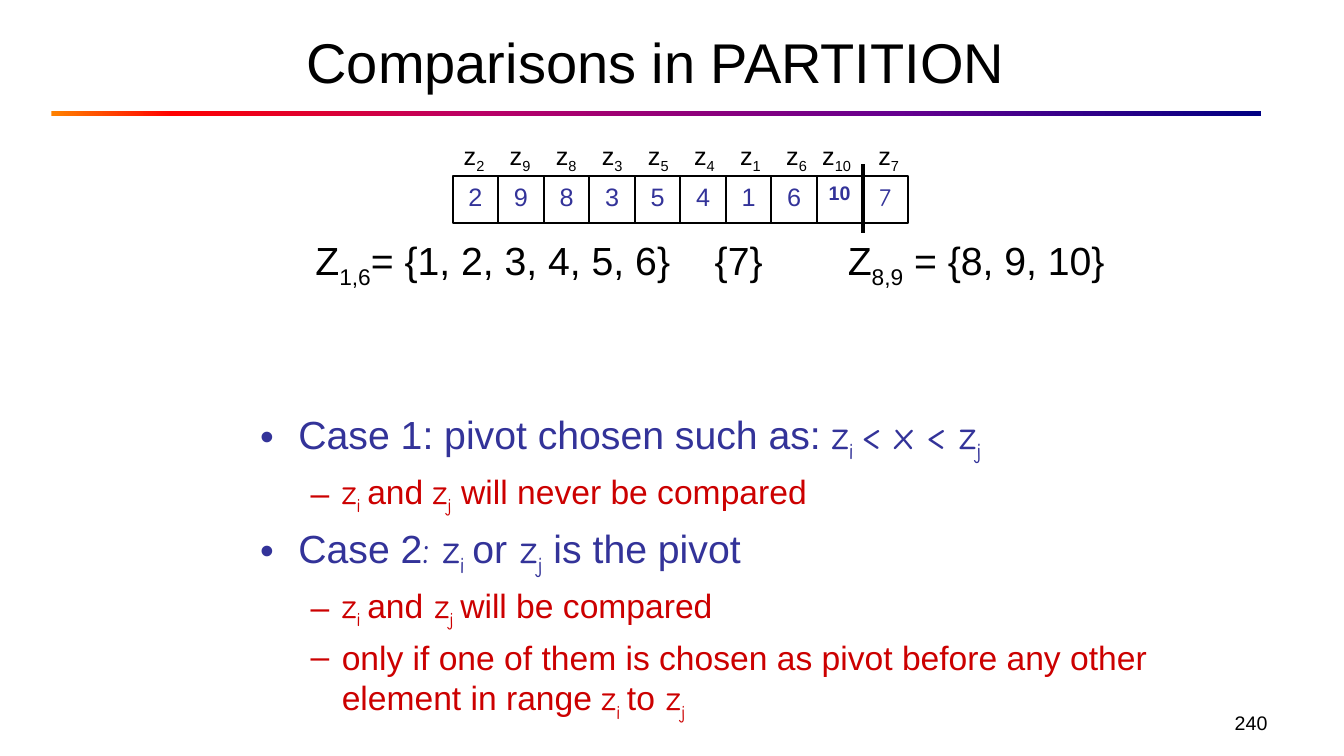
"""Build the slide on comparisons made by PARTITION."""
import pptx
import pptx.util
import pptx.dml.color
import pptx.enum.shapes
import pptx.enum.text
import pptx.oxml.ns
from lxml import etree

Inches = pptx.util.Inches
Pt = pptx.util.Pt
RGBColor = pptx.dml.color.RGBColor
ALIGN = pptx.enum.text.PP_ALIGN
ANCHOR = pptx.enum.text.MSO_ANCHOR
SIZE = pptx.enum.text.MSO_AUTO_SIZE
SHAPE = pptx.enum.shapes.MSO_SHAPE
LINE = pptx.enum.shapes.MSO_CONNECTOR
qn = pptx.oxml.ns.qn

BLACK = RGBColor(0x00, 0x00, 0x00)
BLUE = RGBColor(0x33, 0x33, 0x99)
RED = RGBColor(0xCC, 0x00, 0x00)
STOPS = [
    (0, RGBColor(0xFF, 0x82, 0x00)),
    (10, RGBColor(0xFF, 0x00, 0x00)),
    (35, RGBColor(0xBA, 0x00, 0x66)),
    (70, RGBColor(0x66, 0x00, 0x8F)),
    (100, RGBColor(0x00, 0x00, 0x82)),
]
FONTS = {"text": "Arial", "sub": "Arial", "math": "Comic Neue", "low": "Comic Neue"}
LEVELS = [
    {"mark": "•", "left": 0.38, "hang": -0.38, "size": 28, "color": BLUE},
    {"mark": "–", "left": 0.81, "hang": -0.31, "size": 24, "color": RED},
]

VALUES = [2, 9, 8, 3, 5, 4, 1, 6, 10, 7]
LEFT, TOP, WIDE, HIGH = 4.49, 1.75, 0.4515, 0.46
PIVOT = 7

CASES = [
    (0, [("Case 1: pivot chosen such as: ", "text"), ("z", "math"), ("i ", "low"),
         ("< x < z", "math"), ("j", "low")]),
    (1, [("z", "math"), ("i ", "low"), ("and ", "text"), ("z", "math"), ("j", "low"),
         (" will never be compared", "text")]),
    (0, [("Case 2", "text"), (": z", "math"), ("i ", "low"), ("or", "text"),
         (" z", "math"), ("j", "low"), (" is the pivot", "text")]),
    (1, [("z", "math"), ("i ", "low"), ("and", "text"), (" z", "math"), ("j ", "low"),
         ("will be compared", "text")]),
    (1, [("only if one of them is chosen as pivot before any other element in range ", "text"),
         ("z", "math"), ("i ", "low"), ("to", "text"), (" z", "math"), ("j", "low")]),
]


def put(item, **values):
    """Set each named value on the item."""
    for name, value in values.items():
        setattr(item, name, value)


def place(shape, left, top, width, height):
    """Move and size a shape, in inches."""
    put(shape, left=Inches(left), top=Inches(top), width=Inches(width), height=Inches(height))


def write(para, parts, size, color=BLACK, bold=False):
    """Add runs of text, each with its kind of type."""
    for text, kind in parts:
        run = para.add_run()
        run.text = text
        put(run.font, size=Pt(size), name=FONTS[kind], bold=bold)
        run.font.color.rgb = color
        if kind in ("sub", "low"):
            run._r.get_or_add_rPr().set("baseline", "-25000")


def add_label(slide, box, parts, size, wrap=False, align=ALIGN.LEFT):
    """Add a text box with one line of text."""
    shape = slide.shapes.add_textbox(*map(Inches, box))
    put(shape.text_frame, word_wrap=wrap, auto_size=SIZE.NONE)
    para = shape.text_frame.paragraphs[0]
    para.alignment = align
    write(para, parts, size)


def add_rule(slide):
    """Add the colour bar under the title."""
    bar = slide.shapes.add_shape(SHAPE.RECTANGLE, *map(Inches, (0.51, 1.1, 12, 0.05)))
    bar.shadow.inherit = False
    bar.line.fill.background()
    bar.fill.gradient()
    bar.fill.gradient_angle = 0
    stops = bar._element.spPr.find(".//" + qn("a:gsLst"))
    for stop in list(stops):
        stops.remove(stop)
    for spot, color in STOPS:
        stop = etree.SubElement(stops, qn("a:gs"), pos=str(spot * 1000))
        etree.SubElement(stop, qn("a:srgbClr"), val=str(color))


def add_line(slide, left, top, end, width):
    """Add an upright black line."""
    line = slide.shapes.add_connector(LINE.STRAIGHT, *map(Inches, (left, top, left, end)))
    line.line.color.rgb = BLACK
    line.line.width = Pt(width)
    etree.SubElement(line._element.spPr, qn("a:effectLst"))


def add_cell(slide, index, value):
    """Add one cell of the array."""
    box = (LEFT + index * WIDE, TOP, WIDE, HIGH)
    cell = slide.shapes.add_shape(SHAPE.RECTANGLE, *map(Inches, box))
    cell.shadow.inherit = False
    cell.fill.background()
    cell.line.color.rgb = BLACK
    cell.line.width = Pt(1.5)
    put(cell.text_frame, vertical_anchor=ANCHOR.TOP, word_wrap=True)
    para = cell.text_frame.paragraphs[0]
    para.alignment = ALIGN.CENTER
    long = value > 9
    kind = "math" if value == PIVOT else "text"
    write(para, [(str(value), kind)], 14 if long else 18, BLUE, long)


def add_array(slide):
    """Add the cells, their names and the pivot line."""
    for index, value in enumerate(VALUES):
        add_cell(slide, index, value)
        long = value > 9
        left = 4.5 + index * 0.457 - (0.1 if long else 0)
        box = (left, 1.34, 0.51 if long else 0.42, 0.4)
        add_label(slide, box, [("z", "text"), (str(value), "sub")], 18)
    add_line(slide, 7.65, TOP, TOP + HIGH, 1.5)
    add_line(slide, 8.56, 1.63, 2.31, 3)


def add_sets(slide):
    """Add the sets on both sides of the pivot."""
    add_label(slide, (3.03, 2.3, 4.26, 0.57),
              [("Z", "text"), ("1,6", "sub"), ("= {1, 2, 3, 4, 5, 6}", "text")], 28, True)
    add_label(slide, (6.99, 2.3, 0.68, 0.57), [("{7}", "text")], 28)
    add_label(slide, (8.31, 2.3, 2.81, 0.57),
              [("Z", "text"), ("8,9", "sub"), (" = {8, 9, 10}", "text")], 28)


def fill_title(shape):
    """Place and write the title."""
    place(shape, 0.5, 0.11, 12, 0.99)
    put(shape.text_frame, vertical_anchor=ANCHOR.MIDDLE, auto_size=SIZE.NONE)
    para = shape.text_frame.paragraphs[0]
    para.alignment = ALIGN.CENTER
    write(para, [("Comparisons in PARTITION", "text")], 40)


def fill_body(shape):
    """Place and write the list of cases."""
    place(shape, 2.48, 4.02, 9, 4)
    frame = shape.text_frame
    put(frame, vertical_anchor=ANCHOR.TOP, auto_size=SIZE.NONE, word_wrap=True)
    for index, (level, parts) in enumerate(CASES):
        para = frame.add_paragraph() if index else frame.paragraphs[0]
        form = LEVELS[level]
        props = para._p.get_or_add_pPr()
        props.set("marL", str(Inches(form["left"])))
        props.set("indent", str(Inches(form["hang"])))
        etree.SubElement(props, qn("a:buChar"), char=form["mark"])
        put(para, level=level, space_before=Pt(form["size"] * 0.2 if index else 0))
        write(para, parts, form["size"], form["color"])


def main():
    """Build and save the slide."""
    deck = pptx.Presentation()
    put(deck, slide_width=Inches(13.33), slide_height=Inches(7.5))
    slide = deck.slides.add_slide(deck.slide_layouts[1])
    fill_title(slide.shapes.title)
    fill_body(slide.placeholders[1])
    add_rule(slide)
    add_array(slide)
    add_sets(slide)
    add_label(slide, (9.56, 7, 3.11, 0.35), [("240", "text")], 14, True, ALIGN.RIGHT)
    deck.save("out.pptx")


if __name__ == "__main__":
    main()
